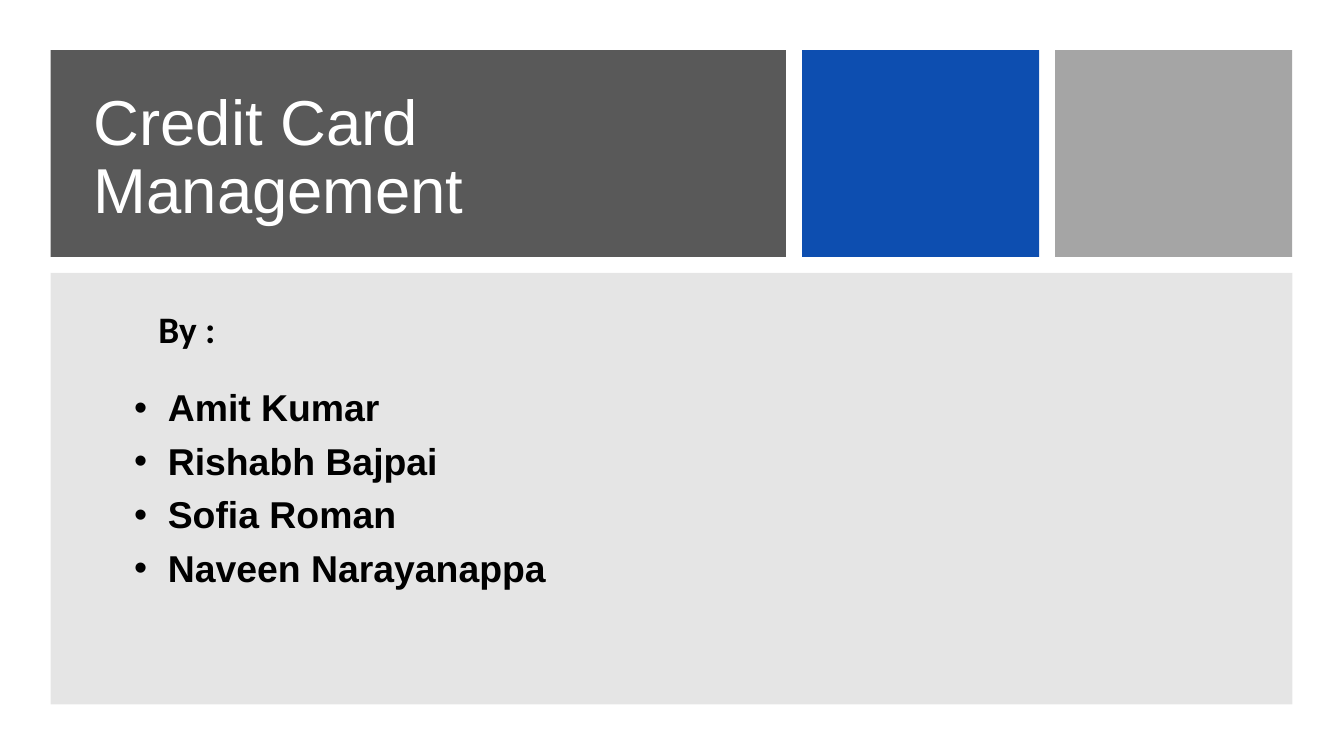
from dataclasses import dataclass

from lxml import etree
from pptx import Presentation
from pptx.dml.color import RGBColor
from pptx.enum.shapes import MSO_SHAPE
from pptx.enum.text import MSO_ANCHOR
from pptx.oxml.ns import qn
from pptx.util import Pt

RECTANGLE = MSO_SHAPE.RECTANGLE
TOP = MSO_ANCHOR.TOP
MIDDLE = MSO_ANCHOR.MIDDLE


@dataclass(frozen=True)
class Theme:
    """Colours, fonts and type sizes of the slide."""
    dark: str = "595959"
    blue: str = "0145AC"
    grey: str = "A5A5A5"
    panel: str = "808080"
    white: str = "FFFFFF"
    black: str = "000000"
    font: str = "Arial"
    label_font: str = "Calibri"
    title_size: int = 34
    body_size: int = 20


THEME = Theme()
LEFT, TOP_EDGE, GAP = 27.1, 26.8, 8.6
TILE_HEIGHT, PANEL_HEIGHT = 110.8, 231.2
TILES = [(394, THEME.dark, 100), (127, THEME.blue, 95), (127, THEME.grey, 100)]
NAMES = ["Amit Kumar", "Rishabh Bajpai", "Sofia Roman", "Naveen\u00a0Narayanappa".replace("\u00a0", " ")]


def add_block(s, x, y, w, h, color, opacity=100):
    """Add a borderless rectangle with an opacity in percent."""
    sp = s.shapes.add_shape(RECTANGLE, Pt(x), Pt(y), Pt(w), Pt(h))
    sp.shadow.inherit = False
    sp.line.fill.background()
    sp.fill.solid()
    sp.fill.fore_color.rgb = RGBColor.from_string(color)
    if opacity < 100:
        clr = sp._element.spPr.find(qn("a:solidFill"))[0]
        etree.SubElement(clr, qn("a:alpha"), val=str(opacity * 1000))


def set_bullet(p, margin, hang):
    """Give a paragraph a hanging round bullet."""
    pPr = p._p.get_or_add_pPr()
    pPr.set("marL", str(Pt(margin)))
    pPr.set("indent", str(-Pt(hang)))
    etree.SubElement(pPr, qn("a:buFont"), typeface=THEME.font)
    etree.SubElement(pPr, qn("a:buChar"), char="•")


def add_text(s, text, x, y, w, h, *, size=THEME.body_size, font=THEME.font,
             color=THEME.black, bold=False, anchor=TOP, spacing=1.0,
             after=0, bullet=False):
    """Add a text box with one paragraph for each line of text."""
    tf = s.shapes.add_textbox(Pt(x), Pt(y), Pt(w), Pt(h)).text_frame
    tf.word_wrap = True
    tf.vertical_anchor = anchor
    tf.text = text
    for p in tf.paragraphs:
        if bullet:
            set_bullet(p, 36, 18)
        p.line_spacing = spacing
        p.space_after = Pt(after)
        r = p.runs[0]
        r.font.name = font
        r.font.size = Pt(size)
        r.font.bold = bold
        r.font.color.rgb = RGBColor.from_string(color)


def add_blocks(s):
    """Add the row of tiles and the panel below it."""
    x = LEFT
    for w, color, opacity in TILES:
        add_block(s, x, TOP_EDGE, w, TILE_HEIGHT, color, opacity)
        x += w + GAP
    add_block(s, LEFT, TOP_EDGE + TILE_HEIGHT + GAP, x - GAP - LEFT,
              PANEL_HEIGHT, THEME.panel, 20)


def main():
    """Build and save the slide."""
    prs = Presentation()
    prs.slide_width, prs.slide_height = Pt(720), Pt(405)
    s = prs.slides.add_slide(prs.slide_layouts[6])
    add_blocks(s)
    add_text(s, "Credit Card Management", 43.2, 43.2, 360, 84.2,
             size=THEME.title_size, color=THEME.white, anchor=MIDDLE,
             spacing=0.9)
    add_text(s, "\n".join(NAMES), 46.8, 165.6, 625.7, 193.7, bold=True,
             anchor=MIDDLE, spacing=0.9, after=7, bullet=True)
    add_text(s, "By :", 77.8, 160.6, 216, 31.7, font=THEME.label_font,
             bold=True)
    prs.save("out.pptx")


if __name__ == "__main__":
    main()
